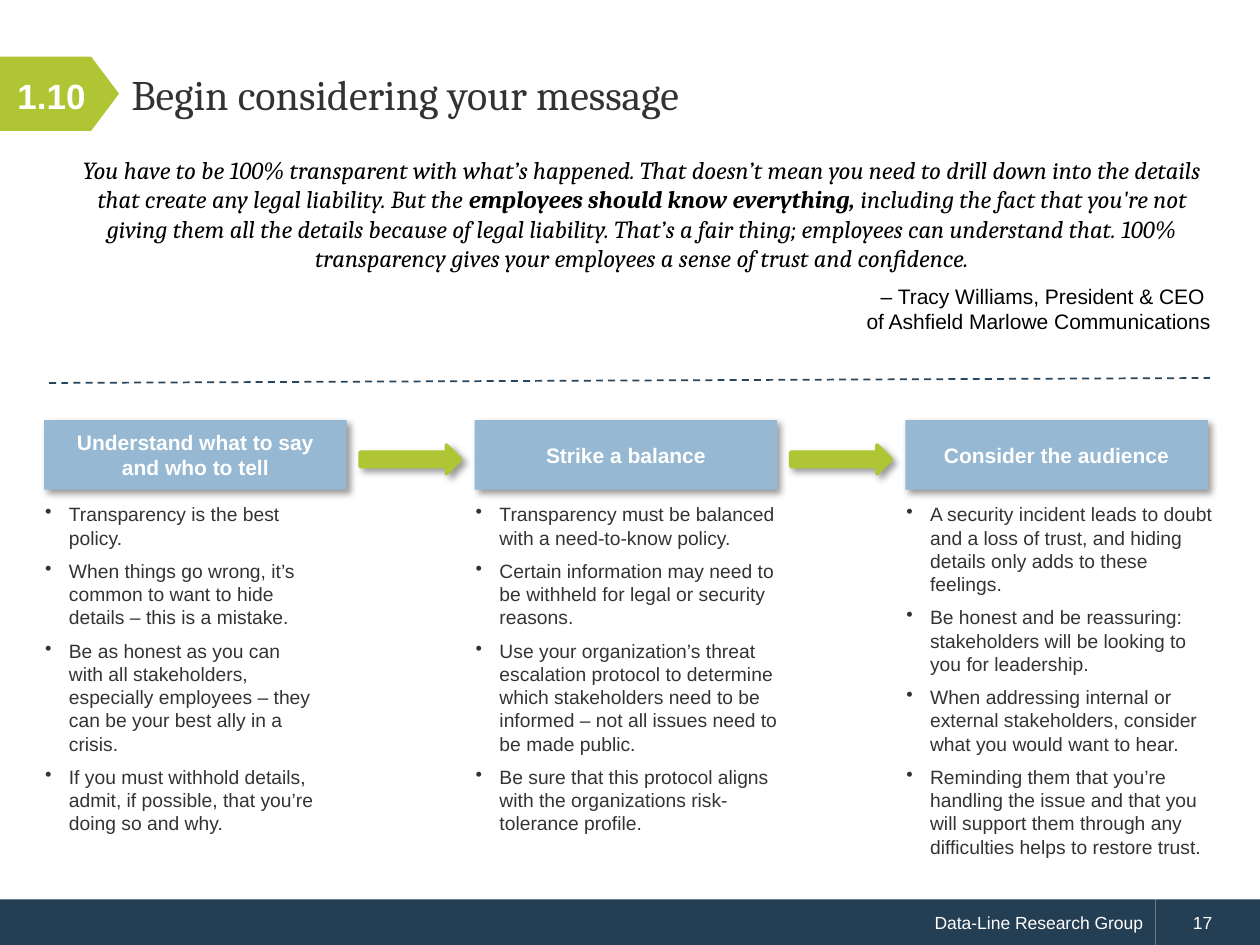
from dataclasses import dataclass

from lxml.etree import SubElement
from pptx import Presentation
from pptx.dml.color import RGBColor
from pptx.enum.dml import MSO_LINE
from pptx.enum.shapes import MSO_CONNECTOR, MSO_SHAPE
from pptx.enum.text import MSO_ANCHOR, PP_ALIGN
from pptx.oxml.ns import qn
from pptx.util import Cm, Pt


@dataclass(frozen=True)
class Theme:
    navy: str = "243F54"
    rule: str = "27465E"
    green: str = "B0C534"
    blue: str = "96B8D2"
    dark: str = "333333"
    black: str = "000000"
    white: str = "FFFFFF"
    sans: str = "Arial"
    serif: str = "Cambria"
    title: int = 24
    badge: int = 20
    quote: int = 14
    heading: int = 12
    body: int = 11
    footer: int = 10


@dataclass(frozen=True)
class Box:
    """A rectangle in centimetres."""
    left: float
    top: float
    width: float
    height: float

    def inner(self, left, top, width, height):
        return Box(self.left + left, self.top + top, width, height)

    def lengths(self):
        return [Cm(value) for value in (self.left, self.top, self.width, self.height)]


THEME = Theme()
COLUMN_PITCH = 8.68
COLUMNS = [
    ("Understand what to say and who to tell", 6.02, [
        "Transparency is the best policy.",
        "When things go wrong, it’s common to want to hide details – this is a mistake.",
        "Be as honest as you can with all stakeholders, especially employees – they can be "
        "your best ally in a crisis.",
        "If you must withhold details, admit, if possible, that you’re doing so and why.",
    ]),
    ("Strike a balance", 6.68, [
        "Transparency must be balanced with a need-to-know policy.",
        "Certain information may need to be withheld for legal or security reasons.",
        "Use your organization’s threat escalation protocol to determine which stakeholders "
        "need to be informed – not all issues need to be made public.",
        "Be sure that this protocol aligns with the organizations risk-tolerance profile.",
    ]),
    ("Consider the audience", 6.68, [
        "A security incident leads to doubt and a loss of trust, and hiding details only adds "
        "to these feelings.",
        "Be honest and be reassuring: stakeholders will be looking to you for leadership.",
        "When addressing internal or external stakeholders, consider what you would want to hear.",
        "Reminding them that you’re handling the issue and that you will support them through "
        "any difficulties helps to restore trust.",
    ]),
]
QUOTE = [
    ("You have to be 100% transparent with what’s happened. That doesn’t mean you need to drill "
     "down into the details that create any legal liability. But the ", False),
    ("employees should know everything,", True),
    (" including the fact that you're not giving them all the details because of legal liability. "
     "That’s a fair thing; employees can understand that. 100% transparency gives your employees "
     "a sense of trust and confidence.", False),
]
SPEAKER = ("– Tracy Williams, President & CEO ", "of Ashfield Marlowe Communications")


def color(value):
    return RGBColor.from_string(value)


def add_run(paragraph, text, size, fill, family=THEME.sans, bold=False, italic=False):
    run = paragraph.add_run()
    run.text = text
    font = run.font
    font.size, font.name, font.bold, font.italic = Pt(size), family, bold, italic
    font.color.rgb = color(fill)


def add_panel(slide, kind, box, fill):
    shape = slide.shapes.add_shape(kind, *box.lengths())
    shape.shadow.inherit = False
    shape.fill.solid()
    shape.fill.fore_color.rgb = color(fill)
    shape.line.fill.background()
    return shape


def cast_shadow(shape):
    effects = shape._element.spPr.find(qn("a:effectLst"))
    shadow = SubElement(effects, qn("a:outerShdw"), blurRad=str(Pt(4)), dist=str(Pt(3)),
                        dir=str(45 * 60000), algn="tl", rotWithShape="0")
    black = SubElement(shadow, qn("a:srgbClr"), val=THEME.black)
    SubElement(black, qn("a:alpha"), val="40000")


def first_paragraph(shape, align=PP_ALIGN.LEFT, anchor=MSO_ANCHOR.MIDDLE):
    frame = shape.text_frame
    frame.word_wrap = True
    frame.vertical_anchor = anchor
    paragraph = frame.paragraphs[0]
    paragraph.alignment = align
    return paragraph


def add_text_box(slide, box, align=PP_ALIGN.LEFT, anchor=MSO_ANCHOR.MIDDLE):
    return first_paragraph(slide.shapes.add_textbox(*box.lengths()), align, anchor)


def add_footer(slide, box):
    number_width = 2.11
    name_width = box.width - number_width
    parts = [
        (0, name_width, PP_ALIGN.RIGHT, 0.25, "Data-Line Research Group"),
        (name_width, number_width, PP_ALIGN.LEFT, 0.76, "17"),
    ]
    for left, width, align, inset, text in parts:
        bar = add_panel(slide, MSO_SHAPE.RECTANGLE, box.inner(left, 0, width, box.height),
                        THEME.navy)
        bar.text_frame.margin_left = Cm(inset)
        add_run(first_paragraph(bar, align), text, THEME.footer, THEME.white)


def add_title(slide, box):
    badge_width = 2.4
    badge = add_panel(slide, MSO_SHAPE.PENTAGON, box.inner(0, 0.4, badge_width, 1.5), THEME.green)
    badge.adjustments[0] = 0.376
    number = add_text_box(slide, box.inner(0, 0, 2.08, box.height), PP_ALIGN.CENTER)
    add_run(number, "1.10", THEME.badge, THEME.white, bold=True)
    title = add_text_box(slide, box.inner(badge_width, 0, box.width - badge_width, box.height))
    title.line_spacing = Pt(26)
    add_run(title, "Begin considering your message", THEME.title, THEME.dark, THEME.serif)


def add_quote(slide, box):
    quote = add_text_box(slide, box, PP_ALIGN.CENTER, MSO_ANCHOR.TOP)
    quote.space_after = Pt(6)
    for text, bold in QUOTE:
        add_run(quote, text, THEME.quote, THEME.black, THEME.serif, bold, italic=True)
    speaker = quote._parent.add_paragraph()
    speaker.alignment = PP_ALIGN.RIGHT
    role, company = SPEAKER
    add_run(speaker, role, THEME.heading, THEME.black)
    speaker.add_line_break()
    add_run(speaker, company, THEME.heading, THEME.black)


def add_divider(slide, box):
    line = slide.shapes.add_connector(MSO_CONNECTOR.STRAIGHT, Cm(box.left), Cm(box.top + box.height),
                                      Cm(box.left + box.width), Cm(box.top))
    line.line.color.rgb = color(THEME.rule)
    line.line.width = Pt(1)
    line.line.dash_style = MSO_LINE.DASH
    SubElement(line._element.spPr, qn("a:effectLst"))


def add_column(slide, box, heading, text_width, points):
    header = add_panel(slide, MSO_SHAPE.RECTANGLE, box.inner(0, 0, box.width, 1.4), THEME.blue)
    cast_shadow(header)
    add_run(first_paragraph(header, PP_ALIGN.CENTER), heading, THEME.heading, THEME.white, bold=True)

    paragraph = add_text_box(slide, box.inner(-0.23, 1.54, text_width, box.height - 1.54),
                             anchor=MSO_ANCHOR.TOP)
    frame = paragraph._parent
    for index, point in enumerate(points):
        if index:
            paragraph = frame.add_paragraph()
        paragraph.space_after = Pt(6)
        properties = paragraph._p.get_or_add_pPr()
        properties.set("marL", str(Cm(0.48)))
        properties.set("indent", str(-Cm(0.48)))
        SubElement(properties, qn("a:buChar"), char="•")
        add_run(paragraph, point, THEME.body, THEME.dark)


def add_arrow(slide, box):
    arrow = add_panel(slide, MSO_SHAPE.RIGHT_ARROW, box, THEME.green)
    arrow.line.color.rgb = color(THEME.green)
    arrow.line.width = Pt(2)
    cast_shadow(arrow)


def add_columns(slide, box):
    for index, (heading, text_width, points) in enumerate(COLUMNS):
        column = box.inner(index * COLUMN_PITCH, 0, 6.1, box.height)
        add_column(slide, column, heading, text_width, points)
        if index < len(COLUMNS) - 1:
            add_arrow(slide, column.inner(6.37, 0.5, 2.03, 0.58))


def main():
    presentation = Presentation()
    presentation.slide_width, presentation.slide_height = Cm(25.4), Cm(19.05)
    slide = presentation.slides.add_slide(presentation.slide_layouts[6])
    add_footer(slide, Box(0, 18.13, 25.4, 0.92))
    add_title(slide, Box(0, 0.74, 24.64, 2.39))
    add_quote(slide, Box(1.24, 3, 23.42, 4.5))
    add_divider(slide, Box(0.99, 7.62, 23.4, 0.1))
    add_columns(slide, Box(0.89, 8.47, 23.47, 9.2))
    presentation.save("out.pptx")


if __name__ == "__main__":
    main()
